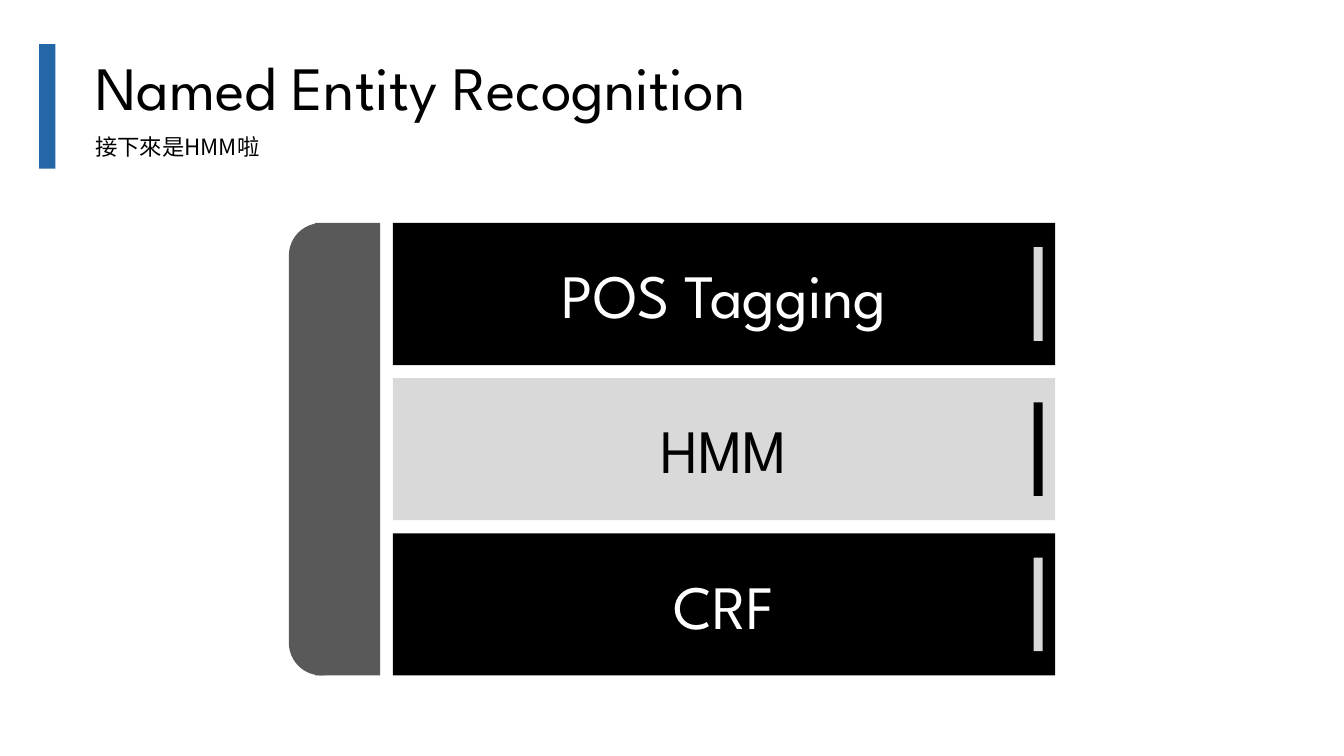
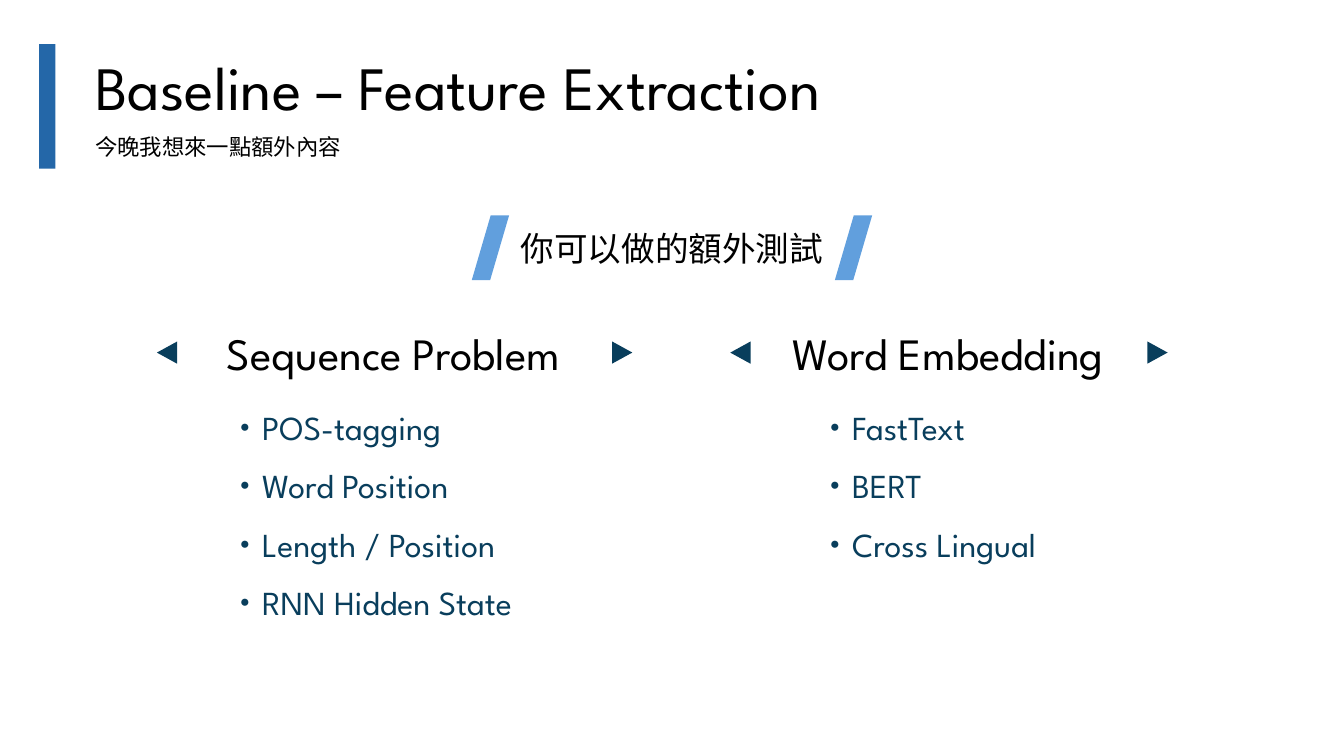
"""Build two slides on named entity recognition and feature extraction."""
from dataclasses import dataclass

from lxml import etree
from pptx import Presentation
from pptx.dml.color import RGBColor
from pptx.enum.shapes import MSO_SHAPE
from pptx.enum.text import MSO_ANCHOR, PP_ALIGN
from pptx.oxml.ns import qn
from pptx.util import Cm, Pt

RECT, ROUND = MSO_SHAPE.RECTANGLE, MSO_SHAPE.ROUNDED_RECTANGLE
SLANT, TRIANGLE = MSO_SHAPE.PARALLELOGRAM, MSO_SHAPE.ISOSCELES_TRIANGLE
LEFT, CENTER = PP_ALIGN.LEFT, PP_ALIGN.CENTER
TOP, MIDDLE = MSO_ANCHOR.TOP, MSO_ANCHOR.MIDDLE


@dataclass(frozen=True)
class Theme:
    """Colours, fonts and type sizes shared by the slides."""
    black: str = "000000"
    white: str = "FFFFFF"
    light: str = "D9D9D9"
    dark: str = "595959"
    accent: str = "2467A8"
    sky: str = "619FDD"
    navy: str = "093E5C"
    latin: str = "League Spartan"
    cjk: str = "Noto Sans CJK SC"
    title: int = 44
    heading: int = 32
    body: int = 24
    small: int = 16


T = Theme()


def set_all(obj, values):
    """Set every attribute named in a dict of format values."""
    for name, value in values.items():
        setattr(obj, name, value)


def add_block(s, kind, x, y, w, h, color, adj=None, rotation=0):
    """Add a plain filled shape without line or shadow."""
    sp = s.shapes.add_shape(kind, Cm(x), Cm(y), Cm(w), Cm(h))
    sp.shadow.inherit = False
    sp.fill.solid()
    sp.fill.fore_color.rgb = RGBColor.from_string(color)
    sp.line.fill.background()
    sp.rotation = rotation
    if adj is not None:
        sp.adjustments[0] = adj
    return sp


def write(p, text, size, color, font, align=LEFT):
    """Write one run of formatted text into a paragraph."""
    p.alignment = align
    r = p.add_run()
    r.text = text
    set_all(r.font, {"size": Pt(size), "name": font})
    r.font.color.rgb = RGBColor.from_string(color)
    etree.SubElement(r.font._element, qn("a:ea"), typeface=font)


def add_paragraph(s, x, y, w, h):
    """Add a wrapping text box and return its first paragraph."""
    tf = s.shapes.add_textbox(Cm(x), Cm(y), Cm(w), Cm(h)).text_frame
    set_all(tf, {"word_wrap": True, "vertical_anchor": TOP})
    return tf.paragraphs[0]


def add_text(s, x, y, w, h, text, size, font=T.latin, align=LEFT):
    """Add a single paragraph of black text."""
    write(add_paragraph(s, x, y, w, h), text, size, T.black, font, align)


def add_items(s, x, items):
    """Add evenly spaced rows, each led by a full-width dot."""
    y, pitch = 10.13, 1.47
    for i, item in enumerate(items):
        p = add_paragraph(s, x, y + i * pitch, 9, 1.27)
        for text, font in (("·", T.cjk), (item, T.latin)):
            write(p, text, T.body, T.navy, font)


def add_slide(prs, title, title_w, subtitle, subtitle_w):
    """Add a blank slide with the accent bar, title and subtitle."""
    s = prs.slides.add_slide(prs.slide_layouts[6])
    x, y = 2.15, 1.11
    add_block(s, RECT, 0.99, y, 0.41, 3.14, T.accent)
    add_text(s, x, y, title_w, 2.13, title, T.title)
    add_text(s, x, 3.23, subtitle_w, 0.94, subtitle, T.small, T.cjk)
    return s


def add_stack(s, labels):
    """Add a rounded side bar and a stack of alternating label rows."""
    x, y, w, h, gap = 9.9, 5.62, 16.69, 3.58, 0.33
    tick_h = 2.36
    total = len(labels) * (h + gap) - gap
    add_block(s, RECT, 7.94, y, 1.64, total, T.dark)
    add_block(s, ROUND, 7.28, y, 1.64, total, T.dark, adj=0.5)
    for i, label in enumerate(labels):
        fill, ink, tick = ((T.light, T.black, T.black) if i % 2
                           else (T.black, T.white, T.light))
        top = y + i * (h + gap)
        tf = add_block(s, RECT, x, top, w, h, fill).text_frame
        set_all(tf, {"word_wrap": True, "vertical_anchor": MIDDLE})
        write(tf.paragraphs[0], label, T.title, ink, T.latin, CENTER)
        add_block(s, RECT, 26.05, top + (h - tick_h) / 2, 0.23, tick_h, tick)


def add_banner(s, text):
    """Add a centred caption between two slanted bars."""
    x, w, bar_w = 12.83, 8.21, 0.94
    for left in (x - bar_w, x + w):
        add_block(s, SLANT, left, 5.43, bar_w, 1.63, T.sky, adj=0.507)
    add_text(s, x, 5.61, w, 1.27, text, T.body, T.cjk, CENTER)


def add_column(s, x, w, list_x, heading, items):
    """Add a heading flanked by outward triangles, and its list."""
    add_text(s, x, 8.08, w, 1.63, heading, T.heading, align=CENTER)
    for left, rotation in ((x - 0.52, 270), (x + w, 90)):
        add_block(s, TRIANGLE, left, 8.63, 0.56, 0.51, T.navy,
                  rotation=rotation)
    add_items(s, list_x, items)


def main():
    """Build and save the presentation."""
    prs = Presentation()
    set_all(prs, {"slide_width": Cm(33.87), "slide_height": Cm(19.05)})

    s = add_slide(prs, "Named Entity Recognition", 20.22,
                  "接下來是HMM啦", 4.75)
    add_stack(s, ["POS Tagging", "HMM", "CRF"])

    s = add_slide(prs, "Baseline – Feature Extraction", 22.63,
                  "今晚我想來一點額外內容", 6.78)
    add_banner(s, "你可以做的額外測試")
    add_column(s, 4.45, 10.95, 5.51, "Sequence Problem",
               ["POS-tagging", "Word Position", "Length / Position",
                "RNN Hidden State"])
    add_column(s, 18.9, 9.99, 20.38, "Word Embedding",
               ["FastText", "BERT", "Cross Lingual"])
    prs.save("out.pptx")


if __name__ == "__main__":
    main()
